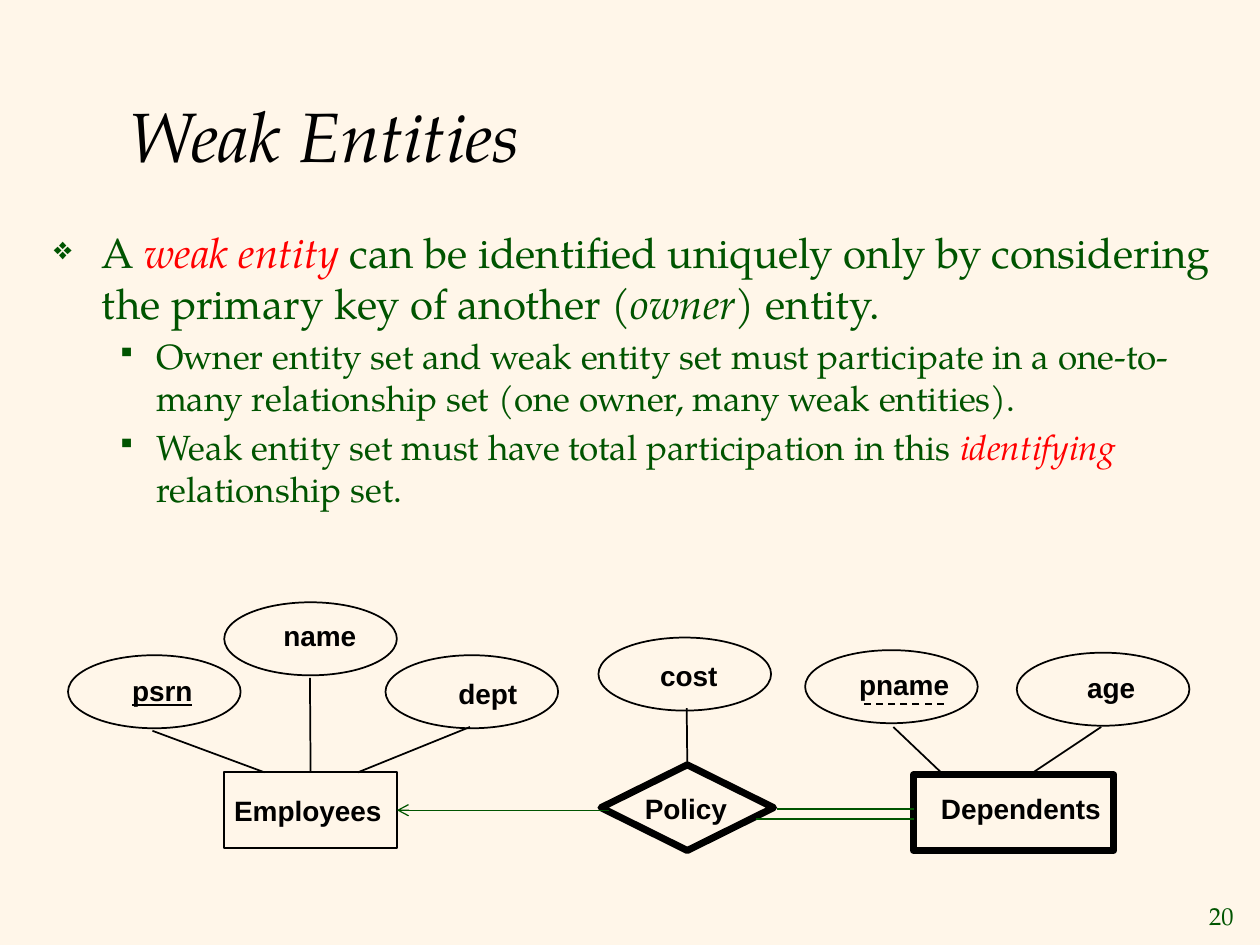
from lxml import etree
from pptx import Presentation
from pptx import util as u
from pptx.dml.color import RGBColor
from pptx.enum import dml, shapes, text
from pptx.oxml.ns import qn

Inches, Pt = u.Inches, u.Pt
COLORS = {name: RGBColor.from_string(value) for name, value in {
    "paper": "FFF6E9", "ink": "000000", "green": "005400", "red": "FF0000",
}.items()}
SERIF, SANS = "TeX Gyre Pagella", "Arial"

deck = Presentation()
deck.slide_width, deck.slide_height = Inches(10), Inches(7.5)
page = deck.slides.add_slide(deck.slide_layouts[5])
page.background.fill.solid()
page.background.fill.fore_color.rgb = COLORS["paper"]


def style(font, name, size, color):
    font.name, font.size = name, Pt(size)
    font.color.rgb = COLORS[color]


def add_line(start, end, color="ink", width=1):
    line = page.shapes.add_connector(
        shapes.MSO_CONNECTOR.STRAIGHT, *(Inches(v) for v in start + end))
    line.line.color.rgb = COLORS[color]
    line.line.width = Pt(width)
    etree.SubElement(line._element.spPr, qn("a:effectLst"))
    return line


# Title
title = page.shapes.title
title.left, title.top = Inches(0.92), Inches(0.46)
title.width, title.height = Inches(8.5), Inches(1.21)
title.text_frame.text = "Weak Entities"
title.text_frame.vertical_anchor = text.MSO_ANCHOR.MIDDLE
para = title.text_frame.paragraphs[0]
para.alignment = text.PP_ALIGN.LEFT
style(para.font, SERIF, 40, "ink")
para.font.italic = True

# Bulleted text: level, then spans of (words, color, italic)
bullets = [
    (0, [("A ", "green", False), ("weak entity ", "red", True),
         ("can be identified uniquely only by considering the primary key "
          "of another (", "green", False),
         ("owner", "green", True), (") entity.", "green", False)]),
    (1, [("Owner entity set and weak entity set must participate in a "
          "one-to-many relationship set (one owner, many weak entities).",
          "green", False)]),
    (1, [("Weak entity set must have total participation in this ",
          "green", False),
         ("identifying ", "red", True), ("relationship set.", "green", False)]),
]
levels = [(24, 0.38, 0.38, "❖"), (20, 0.81, 0.31, "▪")]  # size, margin, hang
body = page.shapes.add_textbox(
    Inches(0.33), Inches(1.75), Inches(9.58), Inches(2.5)).text_frame
body.word_wrap = True
for number, (level, spans) in enumerate(bullets):
    size, margin, hang, mark = levels[level]
    para = body.add_paragraph() if number else body.paragraphs[0]
    para.level = level
    para.space_before = Pt(size * 0.2)
    for words, color, italic in spans:
        span = para.add_run()
        span.text = words
        style(span.font, SERIF, size, color)
        span.font.italic = italic
    props = para._p.get_or_add_pPr()
    props.set("marL", str(Inches(margin)))
    props.set("indent", str(-Inches(hang)))
    bullet_color = etree.SubElement(props, qn("a:buClr"))
    etree.SubElement(bullet_color, qn("a:srgbClr"), val=str(COLORS["green"]))
    etree.SubElement(props, qn("a:buSzPct"), val="75000")
    etree.SubElement(props, qn("a:buChar"), char=mark)

# Diagram nodes: kind, left, top, width, height, line width
OVAL, RECT, DIAMOND = (shapes.MSO_SHAPE.OVAL, shapes.MSO_SHAPE.RECTANGLE,
                       shapes.MSO_SHAPE.DIAMOND)
nodes = {
    "pname": (OVAL, 6.39, 5.16, 1.37, 0.58, 1),
    "age": (OVAL, 8.07, 5.18, 1.37, 0.58, 1),
    "psrn": (OVAL, 0.54, 5.2, 1.37, 0.58, 1),
    "dept": (OVAL, 3.06, 5.2, 1.37, 0.58, 1),
    "cost": (OVAL, 4.75, 5.06, 1.37, 0.58, 1),
    "name": (OVAL, 1.78, 4.78, 1.37, 0.58, 1),
    "Dependents": (RECT, 7.25, 6.15, 1.59, 0.6, 4),
    "Employees": (RECT, 1.78, 6.13, 1.37, 0.6, 1),
    "Policy": (DIAMOND, 4.77, 6.07, 1.37, 0.68, 4),
}
drawn = {}
for label, (kind, *place, width) in nodes.items():
    node = page.shapes.add_shape(kind, *(Inches(v) for v in place))
    node.shadow.inherit = False
    node.fill.background()
    node.line.color.rgb = COLORS["ink"]
    node.line.width = Pt(width)
    drawn[label] = node

# Node labels: left, top, width with room for the whole word
labels = {
    "dept": (3.54, 5.32, 0.8), "name": (2.15, 4.86, 0.9),
    "age": (8.53, 5.27, 0.7), "pname": (6.72, 5.25, 1.03),
    "Dependents": (7.37, 6.23, 1.6), "Employees": (1.76, 6.25, 1.5),
    "psrn": (0.95, 5.3, 0.8), "Policy": (5.02, 6.23, 1),
    "cost": (5.14, 5.18, 0.8),
}
for label, place in labels.items():
    box = page.shapes.add_textbox(*(Inches(v) for v in place), Inches(0.36))
    box.text_frame.word_wrap = True
    box.text_frame.text = label
    font = box.text_frame.paragraphs[0].font
    style(font, SANS, 16, "ink")
    font.bold = True
    if label == "psrn":  # primary key
        font.underline = True

# Partial key underline
add_line((7.49, 5.59), (6.82, 5.59)).line.dash_style = dml.MSO_LINE.DASH

# Attribute lines
for start, end in [((1.21, 5.8), (2.1, 6.13)), ((3.73, 5.77), (2.84, 6.13)),
                   ((7.09, 5.77), (7.49, 6.15)), ((8.74, 5.77), (8.17, 6.15))]:
    add_line(start, end)
name_line = add_line((2.46, 5.38), (2.46, 6.13))
name_line.end_connect(drawn["Employees"], 0)
cost_line = add_line((5.45, 5.62), (5.45, 6.07))
cost_line.end_connect(drawn["Policy"], 0)

# Relationship lines: key constraint arrow and total participation
arrow = add_line((4.83, 6.43), (3.15, 6.43), "green", 0.75)
arrow.end_connect(drawn["Employees"], 3)
etree.SubElement(arrow.line._get_or_add_ln(), qn("a:tailEnd"), type="arrow")
for left, top in [(6.17, 6.42), (6, 6.5)]:
    add_line((left, top), (7.25, top), "green", 0.75)

# Page number
box = page.shapes.add_textbox(
    Inches(9.45), Inches(7.1), Inches(0.44), Inches(0.33))
box.text_frame.word_wrap = False
box.text_frame.vertical_anchor = text.MSO_ANCHOR.MIDDLE
box.text_frame.text = "20"
para = box.text_frame.paragraphs[0]
para.alignment = text.PP_ALIGN.RIGHT
style(para.font, SERIF, 14, "green")

deck.save("out.pptx")
